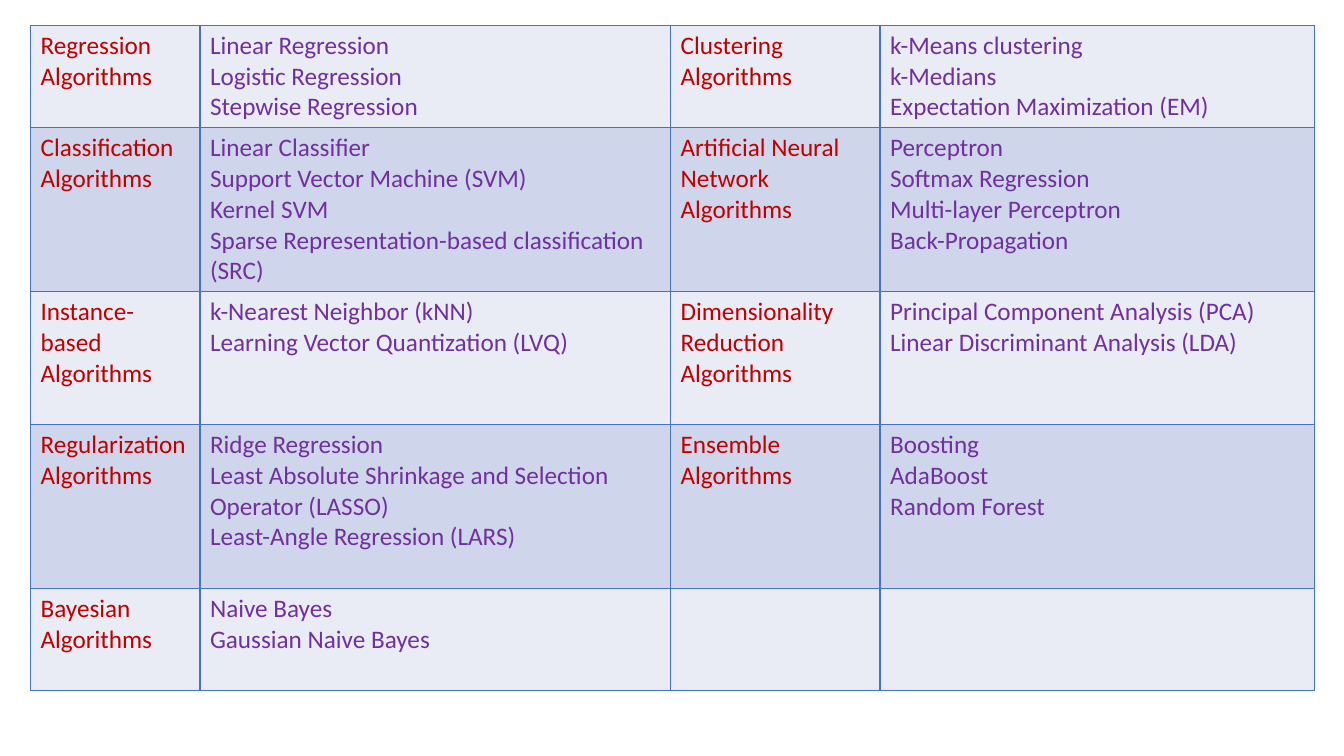
from dataclasses import dataclass

from lxml.etree import SubElement
from pptx import Presentation
from pptx.dml.color import RGBColor
from pptx.oxml.ns import qn
from pptx.util import Cm, Pt


@dataclass(frozen=True)
class Theme:
    font: str = "Calibri"
    size: int = 18
    group: str = "C00000"
    method: str = "7030A0"
    border: str = "4472C4"
    bands: tuple = ("E9EBF5", "CFD5EA")


THEME = Theme()
COLS = (4.27, 11.86, 5.28, 10.95)
LINE, PAD = 0.775, 0.25  # height of a text line, and both cell margins

# Lines of height, then a group and its methods, twice
ROWS = [
    (3, "Regression Algorithms",
     ["Linear Regression", "Logistic Regression", "Stepwise Regression"],
     "Clustering Algorithms",
     ["k-Means clustering", "k-Medians", "Expectation Maximization (EM)"]),
    (5, "Classification Algorithms",
     ["Linear Classifier", "Support Vector Machine (SVM)", "Kernel SVM",
      "Sparse Representation-based classification (SRC)"],
     "Artificial Neural Network Algorithms",
     ["Perceptron", "Softmax Regression", "Multi-layer Perceptron",
      "Back-Propagation"]),
    (4, "Instance-based Algorithms",
     ["k-Nearest Neighbor (kNN)", "Learning Vector Quantization (LVQ)"],
     "Dimensionality Reduction Algorithms",
     ["Principal Component Analysis (PCA)",
      "Linear Discriminant Analysis (LDA)"]),
    (5, "Regularization Algorithms",
     ["Ridge Regression",
      "Least Absolute Shrinkage and Selection Operator (LASSO)",
      "Least-Angle Regression (LARS)"],
     "Ensemble Algorithms",
     ["Boosting", "AdaBoost", "Random Forest"]),
    (3, "Bayesian Algorithms",
     ["Naive Bayes", "Gaussian Naive Bayes"],
     "", []),
]


def add_border(cell):
    props = cell._tc.get_or_add_tcPr()
    for side in ("a:lnL", "a:lnR", "a:lnT", "a:lnB"):
        line = SubElement(props, qn(side), w=str(Pt(1)))
        fill = SubElement(line, qn("a:solidFill"))
        SubElement(fill, qn("a:srgbClr"), val=THEME.border)


def fill_cell(cell, lines, color, band):
    add_border(cell)
    cell.fill.solid()
    cell.fill.fore_color.rgb = RGBColor.from_string(band)
    cell.text = "\n".join(lines)
    for para in cell.text_frame.paragraphs:
        para.font.name = THEME.font
        para.font.size = Pt(THEME.size)
        para.font.color.rgb = RGBColor.from_string(color)


def add_grid(slide):
    tall = [PAD + LINE * row[0] for row in ROWS]
    table = slide.shapes.add_table(
        len(ROWS), len(COLS), Cm(0.77), Cm(0.64),
        Cm(sum(COLS)), Cm(sum(tall))).table
    table.first_row = table.horz_banding = False
    for col, width in zip(table.columns, COLS):
        col.width = Cm(width)

    # Groups stand in the even columns, their methods in the odd ones
    for i, (_, left, first, right, second) in enumerate(ROWS):
        table.rows[i].height = Cm(tall[i])
        band = THEME.bands[i % 2]
        for j, lines in enumerate(([left], first, [right], second)):
            color = THEME.method if j % 2 else THEME.group
            fill_cell(table.cell(i, j), lines, color, band)


def main():
    deck = Presentation()
    deck.slide_width, deck.slide_height = Cm(33.87), Cm(19.05)
    slide = deck.slides.add_slide(deck.slide_layouts[6])
    add_grid(slide)
    deck.save("out.pptx")


if __name__ == "__main__":
    main()
